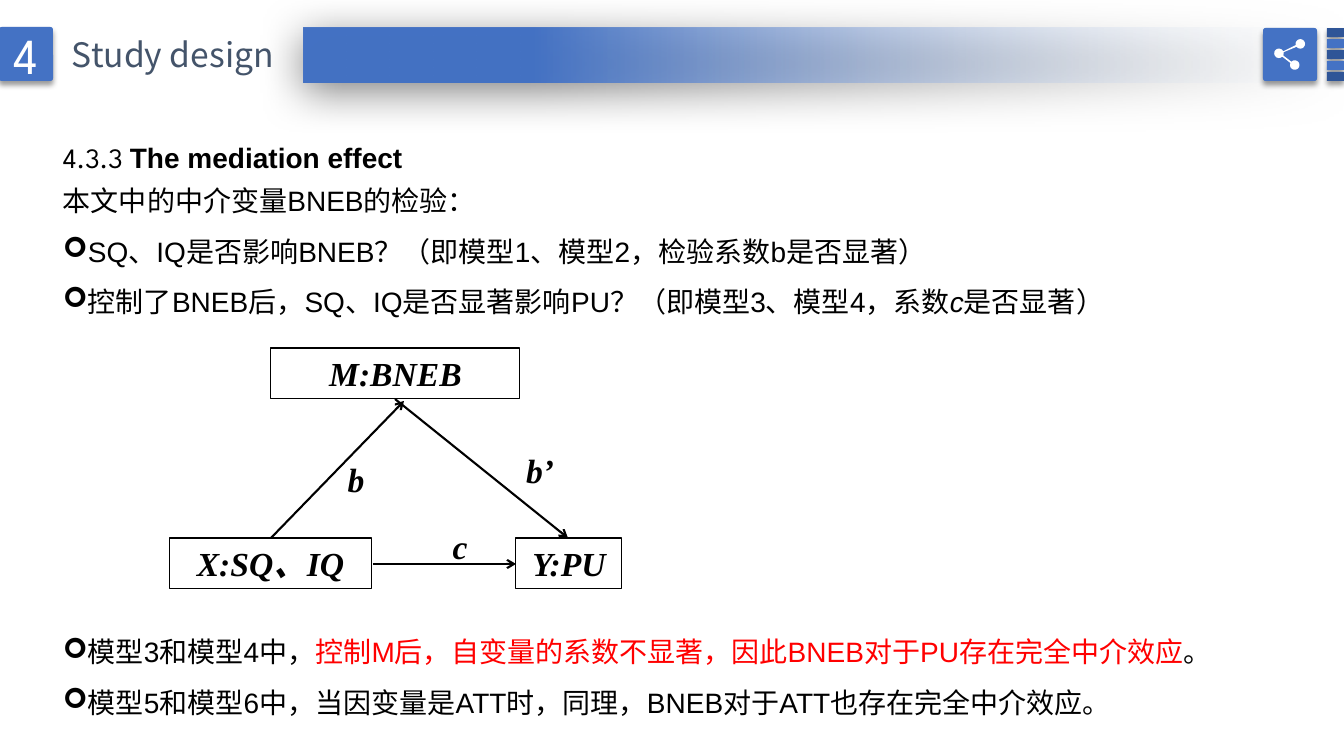
from dataclasses import dataclass
from math import cos, radians, sin

from lxml.etree import SubElement
from pptx import Presentation
from pptx.dml.color import RGBColor
from pptx.enum.shapes import MSO_CONNECTOR, MSO_SHAPE
from pptx.enum.text import MSO_ANCHOR, PP_ALIGN
from pptx.oxml.ns import qn
from pptx.util import Emu, Pt

EMU_PER_PX = 12192000 / 1344

WHITE = RGBColor(0xFF, 0xFF, 0xFF)
BLACK = RGBColor(0, 0, 0)
RED = RGBColor(0xFF, 0, 0)
BLUE = RGBColor(0x44, 0x72, 0xC4)
DARK_BLUE = RGBColor(0x2F, 0x55, 0x97)
PALE_BLUE = RGBColor(0xF7, 0xFA, 0xFD)
SLATE = RGBColor(0x44, 0x54, 0x6A)

BODY = {"name": "Arial", "size": Pt(20)}
EMPHASIS = {"name": "Times New Roman", "size": Pt(24), "bold": True, "italic": True}


@dataclass
class Box:
    left: int
    top: int
    width: int
    height: int


@dataclass
class Run:
    text: str
    format: dict
    color: RGBColor = BLACK


@dataclass
class Line:
    runs: list[Run]
    spacing: float | None = None
    bullet: bool = False
    align: PP_ALIGN = PP_ALIGN.LEFT


@dataclass
class Shadow:
    alpha: int
    blur: int
    distance: int
    angle: int


@dataclass
class Node:
    text: str
    box: Box
    framed: bool = False


@dataclass
class Arrow:
    start: tuple[int, int]
    end: tuple[int, int]


@dataclass
class Arc:
    center: tuple[int, int]
    start: int
    end: int


SOFT_SHADOW = Shadow(40, 4, 3, 90)
WIDE_SHADOW = Shadow(50, 31, 6, 97)


def px(value: float) -> Emu:
    return Emu(round(value * EMU_PER_PX))


def place(box: Box) -> list[Emu]:
    return [px(value) for value in (box.left, box.top, box.width, box.height)]


def add_shadow(shape, shadow: Shadow) -> None:
    effects = shape._element.spPr.find(qn("a:effectLst"))
    outer = SubElement(effects, qn("a:outerShdw"), blurRad=str(Pt(shadow.blur)),
                       dist=str(Pt(shadow.distance)), dir=str(shadow.angle * 60000),
                       algn="t", rotWithShape="0")
    color = SubElement(outer, qn("a:srgbClr"), val=str(BLACK))
    SubElement(color, qn("a:alpha"), val=str(shadow.alpha * 1000))


def add_block(slide, kind: MSO_SHAPE, box: Box, color: RGBColor, shadow: Shadow):
    shape = slide.shapes.add_shape(kind, *place(box))
    if kind == MSO_SHAPE.ROUNDED_RECTANGLE:
        shape.adjustments[0] = 0.05
    shape.shadow.inherit = False
    shape.fill.solid()
    shape.fill.fore_color.rgb = color
    shape.line.fill.background()
    add_shadow(shape, shadow)
    return shape


def write(shape, lines: list[Line]) -> None:
    frame = shape.text_frame
    frame.word_wrap = True
    for index, line in enumerate(lines):
        paragraph = frame.add_paragraph() if index else frame.paragraphs[0]
        paragraph.alignment = line.align
        paragraph.line_spacing = line.spacing
        if line.bullet:
            properties = paragraph._p.get_or_add_pPr()
            properties.set("marL", str(px(23)))
            properties.set("indent", str(-px(23)))
            SubElement(properties, qn("a:buFont"), typeface="Wingdings")
            SubElement(properties, qn("a:buChar"), char="➢")
        for part in line.runs:
            run = paragraph.add_run()
            run.text = part.text
            for name, value in part.format.items():
                setattr(run.font, name, value)
            run.font.color.rgb = part.color


def add_text(slide, box: Box, lines: list[Line]) -> None:
    write(slide.shapes.add_textbox(*place(box)), lines)


def add_node(slide, node: Node) -> None:
    shape = slide.shapes.add_textbox(*place(node.box))
    if node.framed:
        shape.line.color.rgb = BLACK
        shape.line.width = Pt(0.75)
    write(shape, [Line([Run(node.text, EMPHASIS)], align=PP_ALIGN.CENTER)])


def add_arrow(slide, arrow: Arrow) -> None:
    ends = [px(value) for value in (*arrow.start, *arrow.end)]
    connector = slide.shapes.add_connector(MSO_CONNECTOR.STRAIGHT, *ends)
    connector.line.color.rgb = BLACK
    connector.line.width = Pt(1.5)
    SubElement(connector.line._get_or_add_ln(), qn("a:tailEnd"), type="arrow")
    SubElement(connector._element.spPr, qn("a:effectLst"))


def add_share_icon(slide) -> None:
    # Outline runs around three dots, in tenths of a px
    left, upper, lower = (12790, 533), (13004, 439), (12948, 650)
    arcs = [Arc(upper, 142, -195), Arc(left, -25, -315),
            Arc(lower, 205, -135), Arc(left, 27, -14)]
    steps, radius = 24, 47
    points = []
    for arc in arcs:
        for step in range(steps + 1):
            angle = radians(arc.start + (arc.end - arc.start) * step / steps)
            points.append((arc.center[0] + radius * cos(angle),
                           arc.center[1] + radius * sin(angle)))
    builder = slide.shapes.build_freeform(*points[0], scale=EMU_PER_PX / 10)
    builder.add_line_segments(points[1:], close=True)
    icon = builder.convert_to_shape()
    icon.shadow.inherit = False
    icon.fill.solid()
    icon.fill.fore_color.rgb = WHITE
    icon.line.fill.background()


def add_header(slide) -> None:
    # Fading bar
    bar = add_block(slide, MSO_SHAPE.RECTANGLE, Box(304, 28, 1040, 54), BLUE, WIDE_SHADOW)
    bar.fill.gradient()
    bar.fill.gradient_angle = 180
    for stop, color, position in zip(bar.fill.gradient_stops, (PALE_BLUE, BLUE), (0, 0.78)):
        stop.color.rgb = color
        stop.position = position
    clear = bar._element.spPr.find(".//" + qn("a:srgbClr"))
    SubElement(clear, qn("a:alpha"), val="0")

    # Section number and title
    rounded = MSO_SHAPE.ROUNDED_RECTANGLE
    badge = add_block(slide, rounded, Box(-1, 27, 54, 54), BLUE, SOFT_SHADOW)
    badge.text_frame.vertical_anchor = MSO_ANCHOR.MIDDLE
    number = Run("4", {"name": "League Spartan", "size": Pt(36)}, WHITE)
    write(badge, [Line([number], align=PP_ALIGN.CENTER)])
    title = Run("Study design", {"name": "Noto Sans CJK SC", "size": Pt(24)}, SLATE)
    add_text(slide, Box(62, 29, 775, 50), [Line([title])])

    # Stripes and share button
    for row in range(5):
        color = BLUE if row % 2 else DARK_BLUE
        add_block(slide, rounded, Box(1327, 28 + 11 * row, 17, 9), color, SOFT_SHADOW)
    add_block(slide, rounded, Box(1263, 28, 54, 53), BLUE, SOFT_SHADOW)
    add_share_icon(slide)


def add_body(slide) -> None:
    questions = [
        Line([Run("4.3.3 ", {"name": "League Spartan", "size": Pt(20)}),
              Run("The mediation effect", BODY | {"bold": True})], 1.3),
        Line([Run("本文中的中介变量BNEB的检验：", BODY)], 1.3),
        Line([Run("SQ、IQ是否影响BNEB？（即模型1、模型2，检验系数b是否显著）", BODY)], 1.5, True),
        Line([Run("控制了BNEB后，SQ、IQ是否显著影响PU？（即模型3、模型4，系数", BODY),
              Run("c", BODY | {"italic": True}), Run("是否显著）", BODY)], 1.5, True),
    ]
    findings = [
        Line([Run("模型3和模型4中，", BODY),
              Run("控制M后，自变量的系数不显著，因此BNEB对于PU存在完全中介效应", BODY, RED),
              Run("。", BODY)], 1.5, True),
        Line([Run("模型5和模型6中，当因变量是ATT时，同理，BNEB对于ATT也存在完全中介效应。", BODY)],
             1.5, True),
    ]
    add_text(slide, Box(53, 125, 1243, 200), questions)
    add_text(slide, Box(53, 613, 1243, 115), findings)


def add_diagram(slide) -> None:
    nodes = [
        Node("X:SQ、IQ", Box(169, 538, 203, 51), True),
        Node("Y:PU", Box(516, 538, 106, 51), True),
        Node("M:BNEB", Box(271, 348, 249, 51), True),
        Node("c", Box(428, 521, 64, 51)),
        Node("b", Box(324, 454, 64, 51)),
        Node("b’", Box(508, 445, 64, 51)),
    ]
    arrows = [Arrow((373, 564), (516, 564)), Arrow((271, 538), (404, 401)),
              Arrow((395, 399), (568, 538))]
    for node in nodes:
        add_node(slide, node)
    for arrow in arrows:
        add_arrow(slide, arrow)


def main() -> None:
    presentation = Presentation()
    presentation.slide_width, presentation.slide_height = px(1344), px(756)
    slide = presentation.slides.add_slide(presentation.slide_layouts[6])
    add_header(slide)
    add_body(slide)
    add_diagram(slide)
    presentation.save("out.pptx")


if __name__ == "__main__":
    main()
